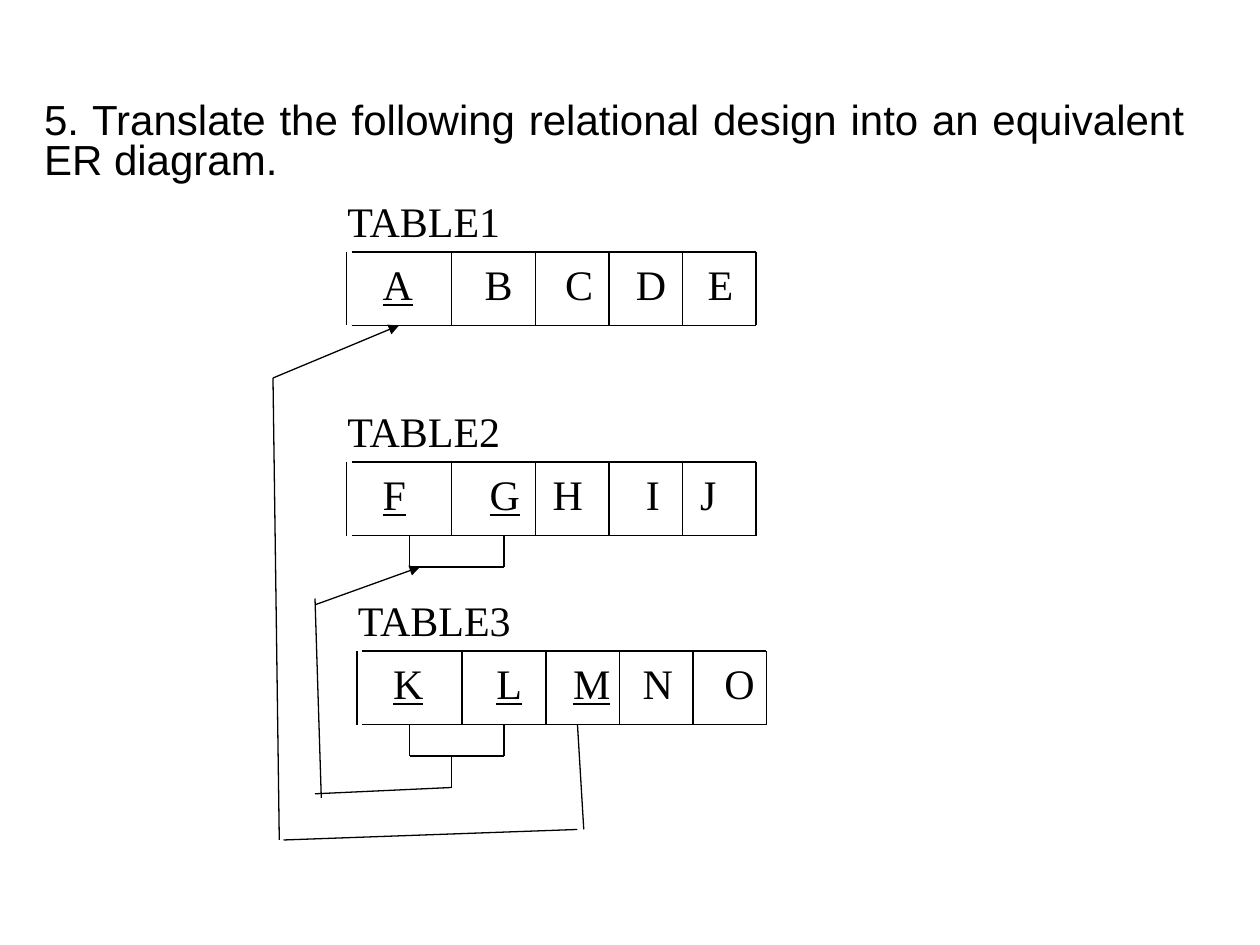
from dataclasses import dataclass
from itertools import accumulate, pairwise

from lxml import etree
from pptx import Presentation
from pptx import util as u
from pptx.dml.color import RGBColor
from pptx.enum import shapes, text
from pptx.oxml.ns import qn


@dataclass(frozen=True)
class Theme:
    ink: RGBColor = RGBColor(0, 0, 0)
    heading_font: str = "Arial"
    table_font: str = "Times New Roman"
    size: u.Pt = u.Pt(24)
    line: u.Pt = u.Pt(0.75)


THEME = Theme()
COLUMN_WIDTHS = (10, 8, 7, 7, 7)
ROW_HEIGHT = 7


def grid(units):
    """Length of grid units, twelve to the inch."""
    return u.Inches(units / 12)


def set_font(paragraph, name):
    paragraph.font.name = name
    paragraph.font.size = THEME.size
    paragraph.font.color.rgb = THEME.ink


def add_line(slide, start, end, arrow=False):
    line = slide.shapes.add_connector(
        shapes.MSO_CONNECTOR.STRAIGHT, *map(grid, (*start, *end)))
    line.line.color.rgb = THEME.ink
    line.line.width = THEME.line
    properties = line._element.spPr
    if arrow:
        etree.SubElement(properties.find(qn("a:ln")), qn("a:tailEnd"), type="triangle")
    etree.SubElement(properties, qn("a:effectLst"))


def add_path(slide, *points):
    for start, end in pairwise(points):
        add_line(slide, start, end)


def add_text(slide, left, top, width):
    """Add a one-line text box and return its paragraph."""
    box = slide.shapes.add_textbox(grid(left), grid(top), grid(width), grid(6))
    box.text_frame.word_wrap = True
    return box.text_frame.paragraphs[0]


def add_tabs(paragraph, stops):
    tabs = etree.SubElement(paragraph._p.get_or_add_pPr(), qn("a:tabLst"))
    for stop in stops:
        etree.SubElement(tabs, qn("a:tab"), pos=str(u.Inches(stop)), algn="l")


def add_heading(slide, wording):
    title = slide.shapes.title
    title.left, title.top = u.Inches(0.25), u.Inches(0.25)
    title.width, title.height = u.Inches(9.25), u.Inches(1.58)
    frame = title.text_frame
    frame.text = wording
    frame.word_wrap = True
    frame.auto_size = text.MSO_AUTO_SIZE.NONE
    frame.vertical_anchor = text.MSO_ANCHOR.TOP
    frame.margin_top = u.Inches(0.57)
    paragraph = frame.paragraphs[0]
    paragraph.alignment = text.PP_ALIGN.JUSTIFY
    paragraph.line_spacing = 0.8
    paragraph.space_before = u.Pt(0)
    set_font(paragraph, THEME.heading_font)


def add_relation(slide, left, top, name, key, others, stops):
    """Draw a named row of columns, with the key columns underlined."""
    bottom = top + ROW_HEIGHT
    edges = list(accumulate(COLUMN_WIDTHS, initial=left))
    for y in (top, bottom):
        add_line(slide, (left + 0.5, y), (edges[-1], y))
    for x in edges:
        add_line(slide, (x, top), (x, bottom))

    label = add_text(slide, left - 1.1, top - 6, 18)
    label.text = name
    set_font(label, THEME.table_font)

    columns = add_text(slide, left + 2.25, top, 38)
    add_tabs(columns, stops)
    set_font(columns, THEME.table_font)
    key_run = columns.add_run()
    key_run.text = "\t".join(key)
    key_run.font.underline = True
    columns.add_run().text = "".join("\t" + column for column in others)


def add_bracket(slide, top):
    """Join the first two columns below a row."""
    add_path(slide, (39, top), (39, top + 3), (48, top + 3), (48, top))


def add_first_reference(slide):
    """Link column M of the third table to key A."""
    add_line(slide, (55, 69), (55.6, 79))
    add_line(slide, (55, 79), (27, 80))
    add_line(slide, (26.6, 80), (26, 36))
    add_line(slide, (26, 36), (38, 31), arrow=True)


def add_second_reference(slide):
    """Link columns K and L to the key F, G."""
    add_path(slide, (43, 72), (43, 75), (30, 75.6))
    add_line(slide, (30.6, 76), (30, 57))
    add_line(slide, (30, 57.6), (40, 54), arrow=True)


def main():
    presentation = Presentation()
    presentation.slide_width, presentation.slide_height = u.Inches(10), u.Inches(7.5)
    slide = presentation.slides.add_slide(presentation.slide_layouts[5])
    add_heading(slide, "5. Translate the following relational design into "
                       "an equivalent ER diagram.")
    relations = (
        (33, 24, "TABLE1", "A", "BCDE", (0.81, 1.45, 2.01, 2.58)),
        (33, 44, "TABLE2", "FG", "HIJ", (0.85, 1.35, 2.09, 2.52)),
        (34, 62, "TABLE3", "KLM", "NO", (0.82, 1.43, 1.98, 2.63)),
    )
    for relation in relations:
        add_relation(slide, *relation)
    for top in (51, 69):
        add_bracket(slide, top)
    add_first_reference(slide)
    add_second_reference(slide)
    presentation.save("out.pptx")


if __name__ == "__main__":
    main()
